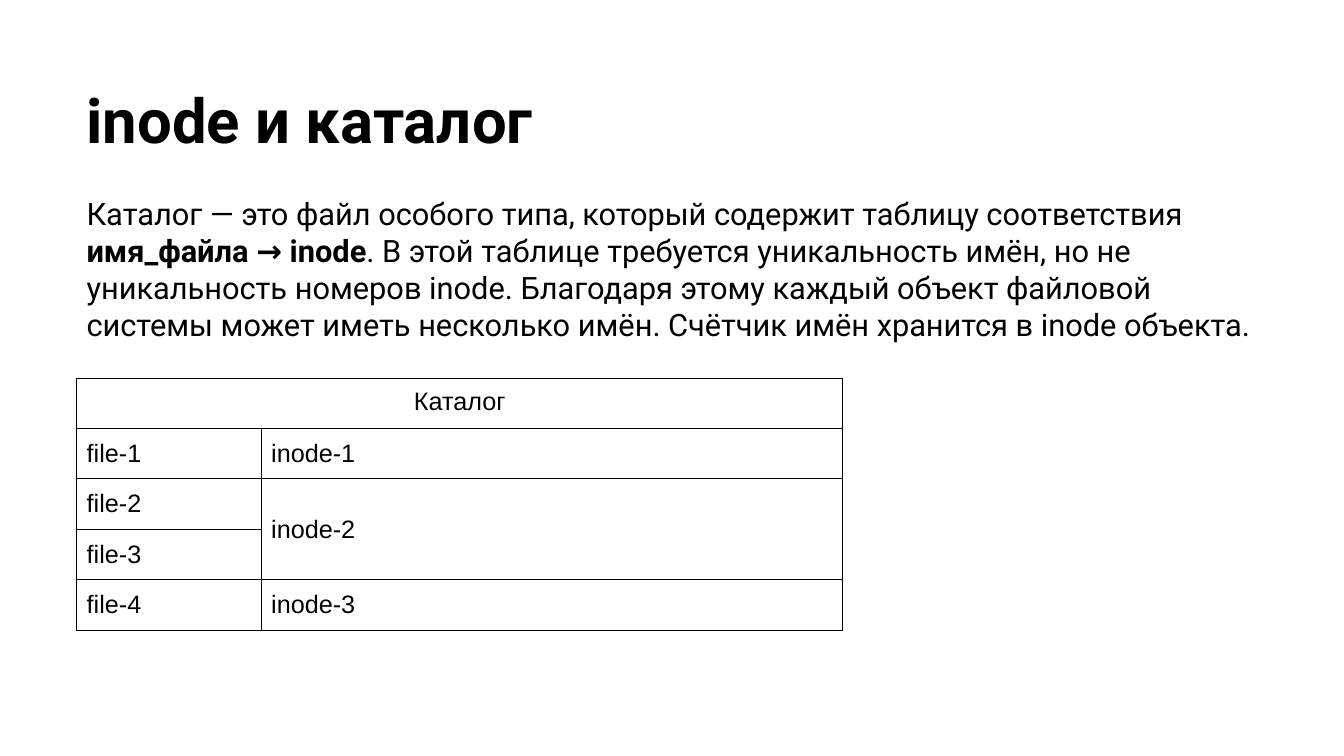
from dataclasses import dataclass

from lxml.etree import SubElement
from pptx import Presentation
from pptx.dml.color import RGBColor
from pptx.enum.text import MSO_ANCHOR, PP_ALIGN
from pptx.oxml.ns import qn
from pptx.util import Inches, Pt


@dataclass(frozen=True)
class Theme:
    """Colours, fonts and type sizes of the slide."""
    ink: str = "000000"
    prose_font: str = "Roboto"
    table_font: str = "Arial"
    title_size: int = 44
    body_size: int = 22
    cell_size: int = 18
    border_width: float = 0.75


THEME = Theme()
LEFT, WIDTH = 0.76, 11.79
EXPLANATION = (
    ("Каталог — это файл особого типа, который содержит таблицу соответствия ", False),
    ("имя_файла → inode", True),
    (". В этой таблице требуется уникальность имён, но не уникальность номеров inode. "
     "Благодаря этому каждый объект файловой системы может иметь несколько имён. "
     "Счётчик имён хранится в inode объекта.", False),
)
DIRECTORY_ROWS = (
    ("Каталог", ""),
    ("file-1", "inode-1"),
    ("file-2", "inode-2"),
    ("file-3", ""),
    ("file-4", "inode-3"),
)


def style_font(font, name, size):
    """Give a font its typeface, size and the ink colour."""
    font.name = name
    font.size = Pt(size)
    font.color.rgb = RGBColor.from_string(THEME.ink)


def add_prose(slide, left, top, width, height, size):
    """Add a wrapping text box and return its styled paragraph."""
    frame = slide.shapes.add_textbox(
        Inches(left), Inches(top), Inches(width), Inches(height)).text_frame
    frame.word_wrap = True
    paragraph = frame.paragraphs[0]
    style_font(paragraph.font, THEME.prose_font, size)
    return paragraph


def add_title(slide, left, top, width, height):
    """Place the bold heading."""
    heading = add_prose(slide, left, top, width, height, THEME.title_size)
    heading.text = "inode и каталог"
    heading.font.bold = True


def add_explanation(slide, left, top, width, height):
    """Place the paragraph with its bold mapping."""
    explanation = add_prose(slide, left, top, width, height, THEME.body_size)
    explanation.space_before = Pt(10)
    for phrase, bold in EXPLANATION:
        run = explanation.add_run()
        run.text = phrase
        run.font.bold = bold


def outline_cell(cell):
    """Draw thin borders on all four sides of an unfilled cell."""
    properties = cell._tc.get_or_add_tcPr()
    for side in ("lnL", "lnR", "lnT", "lnB"):
        border = SubElement(properties, qn(f"a:{side}"), w=str(Pt(THEME.border_width)))
        ink = SubElement(border, qn("a:solidFill"))
        SubElement(ink, qn("a:srgbClr"), val=THEME.ink)
    cell.fill.background()


def add_directory(slide, left, top, column_widths, row_height):
    """Place the table that maps file names to inodes."""
    directory = slide.shapes.add_table(
        len(DIRECTORY_ROWS), len(column_widths), Inches(left), Inches(top),
        Inches(sum(column_widths)), Inches(row_height * len(DIRECTORY_ROWS))).table
    directory.first_row = directory.horz_banding = False
    for column, width in zip(directory.columns, column_widths):
        column.width = Inches(width)
    for row_index, entries in enumerate(DIRECTORY_ROWS):
        for column_index, entry in enumerate(entries):
            cell = directory.cell(row_index, column_index)
            cell.margin_left = cell.margin_right = Inches(0.1)
            cell.margin_top = cell.margin_bottom = Inches(0.1)
            cell.vertical_anchor = MSO_ANCHOR.MIDDLE if row_index else MSO_ANCHOR.TOP
            cell.text = entry
            paragraph = cell.text_frame.paragraphs[0]
            paragraph.alignment = PP_ALIGN.LEFT if row_index else PP_ALIGN.CENTER
            style_font(paragraph.font, THEME.table_font, THEME.cell_size)
            outline_cell(cell)
    directory.cell(0, 0).merge(directory.cell(0, 1))
    directory.cell(2, 1).merge(directory.cell(3, 1))


def main():
    """Build and save the slide."""
    presentation = Presentation()
    presentation.slide_width = Inches(13.33)
    presentation.slide_height = Inches(7.5)
    slide = presentation.slides.add_slide(presentation.slide_layouts[6])
    add_explanation(slide, LEFT, 1.88, WIDTH, 1.96)
    add_title(slide, LEFT, 0.76, WIDTH, 1.6)
    add_directory(slide, LEFT, 3.75, (1.83, 5.77), 0.48)
    presentation.save("out.pptx")


if __name__ == "__main__":
    main()
